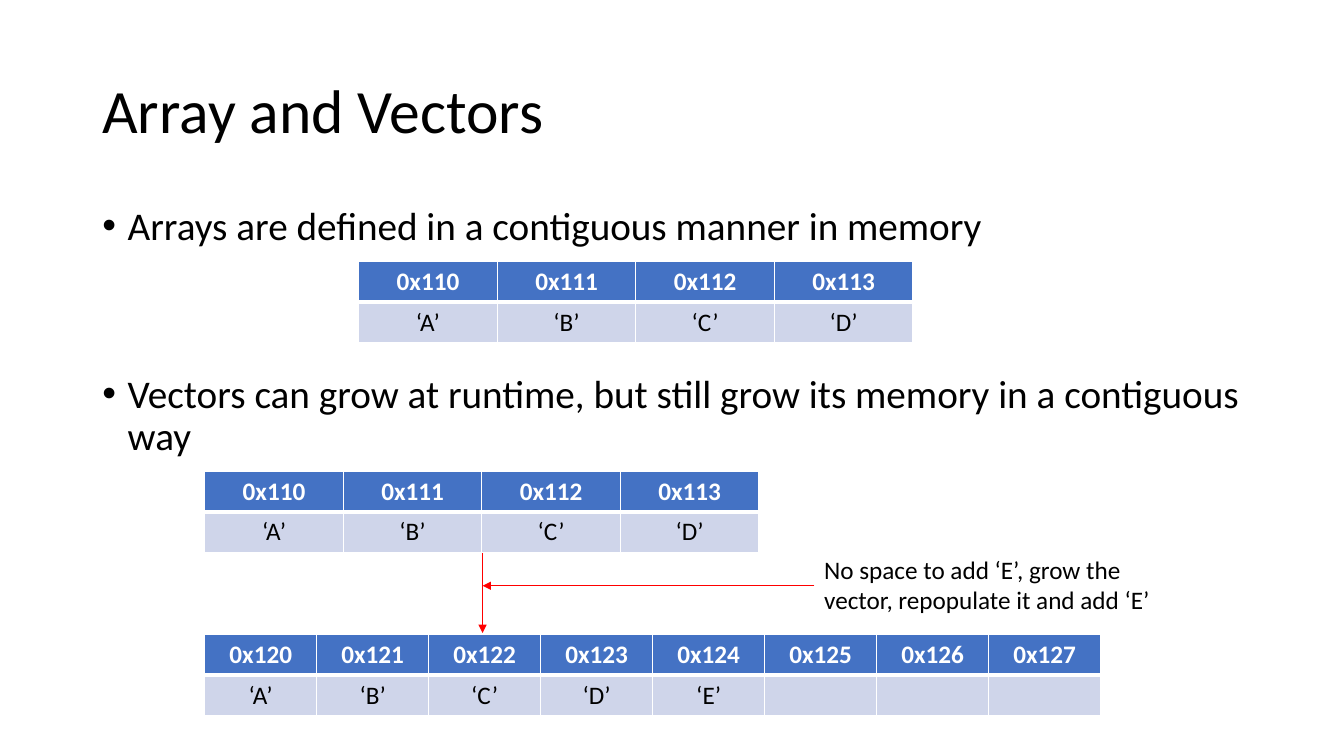
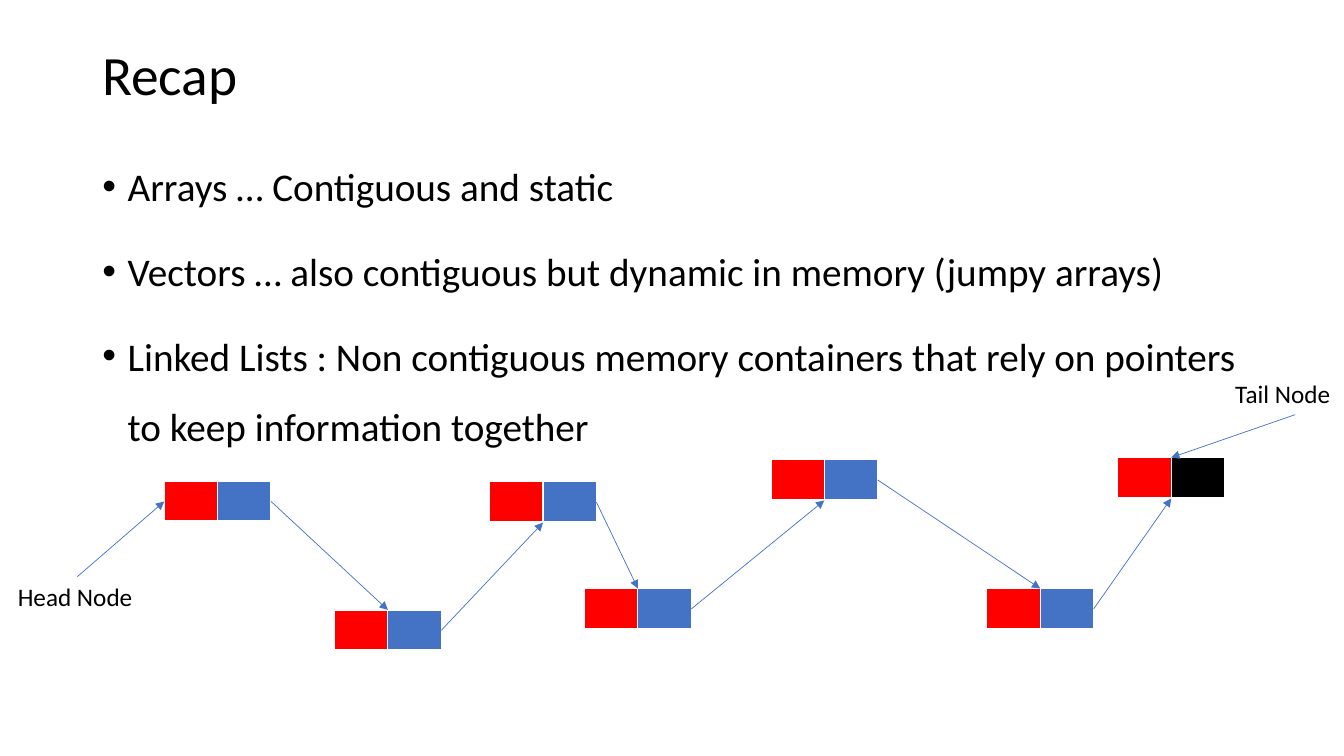
from lxml import etree
from pptx import Presentation
from pptx import util as u
from pptx.dml.color import RGBColor
from pptx.enum import shapes, text
from pptx.oxml import ns

COLOURS = {
    "ink": "000000",
    "paper": "FFFFFF",
    "blue": "4472C4",
    "pale": "CFD5EA",
    "red": "FF0000",
}
FONT = "Calibri"
MARGIN, BODY_WIDTH = 2.33, 29.21
ROW_HEIGHT = 1.03
NODE_WIDTH = 2.69


def add_xml(parent, tag, **attributes):
    return etree.SubElement(parent, ns.qn(tag), attributes)


class Deck:
    """Hold the shared style and the current slide."""

    def __init__(self):
        self.deck = Presentation()
        self.deck.slide_width = u.Cm(33.87)
        self.deck.slide_height = u.Cm(19.05)
        self.page = None

    def colour(self, name):
        return RGBColor.from_string(COLOURS[name])

    def format(self, para, size, colour="ink", bold=False):
        for span in para.runs:
            span.font.name = FONT
            span.font.size = u.Pt(size)
            span.font.bold = bold
            span.font.color.rgb = self.colour(colour)

    def new_page(self, title, title_height, title_size):
        self.page = self.deck.slides.add_slide(self.deck.slide_layouts[6])
        box = self.text(title, MARGIN, 1.01, BODY_WIDTH, title_height, title_size)
        box.text_frame.vertical_anchor = text.MSO_ANCHOR.MIDDLE
        box.text_frame.paragraphs[0].line_spacing = 0.9

    def text(self, words, left, top, width, height, size=18):
        box = self.page.shapes.add_textbox(*map(u.Cm, (left, top, width, height)))
        box.text_frame.word_wrap = True
        box.text_frame.text = words
        for para in box.text_frame.paragraphs:
            self.format(para, size)
        return box

    def bullets(self, lines, top, height, line_spacing, gap):
        box = self.text("\n".join(lines), MARGIN, top, BODY_WIDTH, height, 28)
        for index, para in enumerate(box.text_frame.paragraphs):
            para.line_spacing = line_spacing
            para.space_before = u.Pt(gap if index else 10)
            properties = para._p.get_or_add_pPr()
            properties.set("marL", str(u.Cm(0.64)))
            properties.set("indent", str(-u.Cm(0.64)))
            add_xml(properties, "a:buFont", typeface="Arial")
            add_xml(properties, "a:buChar", char="•")

    def grid(self, rows, columns, left, top, width):
        frame = self.page.shapes.add_table(
            rows, columns, *map(u.Cm, (left, top, width, rows * ROW_HEIGHT))
        )
        table = frame.table
        table.first_row = table.horz_banding = False
        for column in table.columns:
            column.width = u.Cm(width / columns)
        return table

    def cell(self, cell, fill, bottom=1):
        cell.fill.solid()
        cell.fill.fore_color.rgb = self.colour(fill)
        properties = cell._tc.get_or_add_tcPr()
        for index, (side, points) in enumerate(zip("LRTB", (1, 1, 1, bottom))):
            border = add_xml(properties, f"a:ln{side}", w=str(u.Pt(points)))
            solid = add_xml(border, "a:solidFill")
            add_xml(solid, "a:srgbClr", val=COLOURS["paper"])
            properties.insert(index, border)

    def memory(self, first_address, letters, slots, left, top, width):
        table = self.grid(2, slots, left, top, width)
        for index in range(slots):
            letter = f"‘{letters[index]}’" if index < len(letters) else ""
            contents = (
                (f"0x{first_address + index:x}", "blue", "paper", True),
                (letter, "pale", "ink", False),
            )
            for row, (words, fill, ink, bold) in enumerate(contents):
                cell = table.cell(row, index)
                self.cell(cell, fill, 1 if row else 3)
                para = cell.text_frame.paragraphs[0]
                para.text = words
                para.alignment = text.PP_ALIGN.CENTER
                self.format(para, 18, ink, bold)

    def node(self, left, top, pointer):
        table = self.grid(1, 2, left, top, NODE_WIDTH)
        for index, fill in enumerate(("red", pointer)):
            self.cell(table.cell(0, index), fill, 3)

    def arrow(self, start, end, colour):
        line = self.page.shapes.add_connector(
            shapes.MSO_CONNECTOR.STRAIGHT, *map(u.Cm, (*start, *end))
        )
        line.line.color.rgb = self.colour(colour)
        line.line.width = u.Pt(0.5)
        add_xml(line.line._get_or_add_ln(), "a:tailEnd", type="triangle")
        add_xml(line._element.spPr, "a:effectLst")


def arrays_page(deck):
    deck.new_page("Array and Vectors", 3.68, 44)
    deck.bullets(
        [
            "Arrays are defined in a contiguous manner in memory",
            "Vectors can grow at runtime, but still grow its memory in a contiguous way",
        ],
        top=5.07, height=12.09, line_spacing=0.9, gap=90,
    )
    deck.memory(0x110, "ABCD", 4, 9.04, 6.58, 13.97)
    deck.memory(0x110, "ABCD", 4, 5.16, 11.87, 13.97)
    deck.memory(0x120, "ABCDE", 8, 5.16, 15.98, 22.58)
    middle = 12.16
    deck.arrow((middle, 13.94), (middle, 15.95), "red")
    deck.arrow((20.52, 14.76), (middle, 14.76), "red")
    deck.text(
        "No space to add ‘E’, grow the vector, repopulate it and add ‘E’",
        20.52, 13.84, 8.99, 1.8,
    )


def recap_page(deck):
    deck.new_page("Recap", 1.9, 39.6)
    deck.bullets(
        [
            "Arrays … Contiguous and static",
            "Vectors … also contiguous but dynamic in memory (jumpy arrays)",
            "Linked Lists : Non contiguous memory containers that rely on pointers "
            "to keep information together",
        ],
        top=3.38, height=13.77, line_spacing=1.5, gap=10,
    )
    nodes = [
        (4.14, 12.12), (8.43, 15.37), (12.34, 12.14), (14.73, 14.83),
        (19.43, 11.58), (24.87, 14.83), (28.17, 11.53),
    ]
    for left, top in nodes:
        deck.node(left, top, "ink" if (left, top) == nodes[-1] else "blue")
    for (left, top), (next_left, next_top) in zip(nodes, nodes[1:]):
        entry = next_top if next_top > top else next_top + ROW_HEIGHT
        deck.arrow(
            (left + NODE_WIDTH, top + ROW_HEIGHT / 2),
            (next_left + NODE_WIDTH / 2, entry),
            "blue",
        )
    head_left, head_top = nodes[0]
    tail_left, tail_top = nodes[-1]
    deck.text("Head Node", 0.2, 14.53, 3.5, 1.03)
    deck.text("Tail Node", 30.88, 9.42, 2.98, 1.03)
    deck.arrow((32.64, 10.45), (tail_left + NODE_WIDTH / 2, tail_top), "blue")
    deck.arrow((1.95, 14.53), (head_left, head_top + ROW_HEIGHT / 2), "blue")


def main():
    deck = Deck()
    arrays_page(deck)
    recap_page(deck)
    deck.deck.save("out.pptx")


if __name__ == "__main__":
    main()
